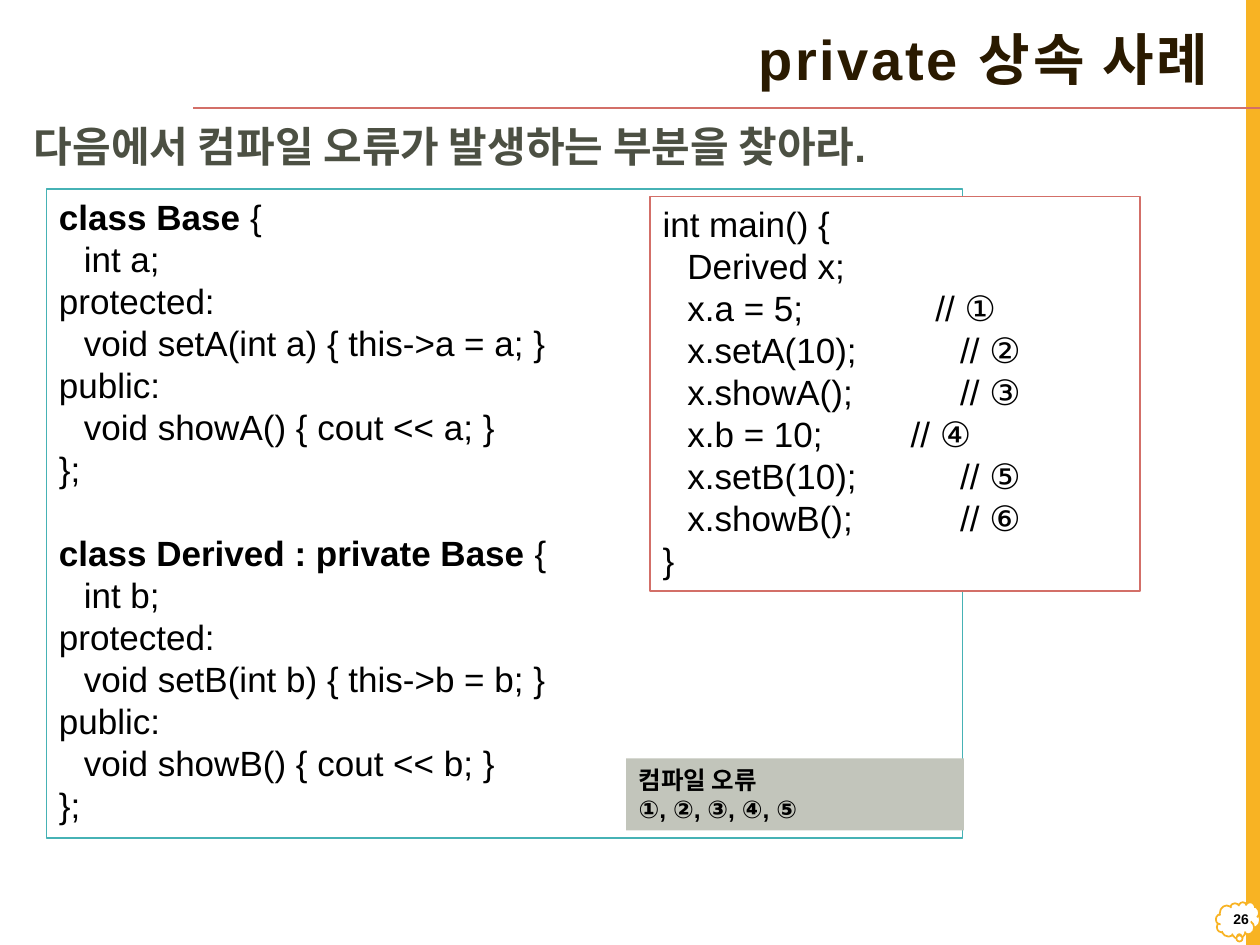
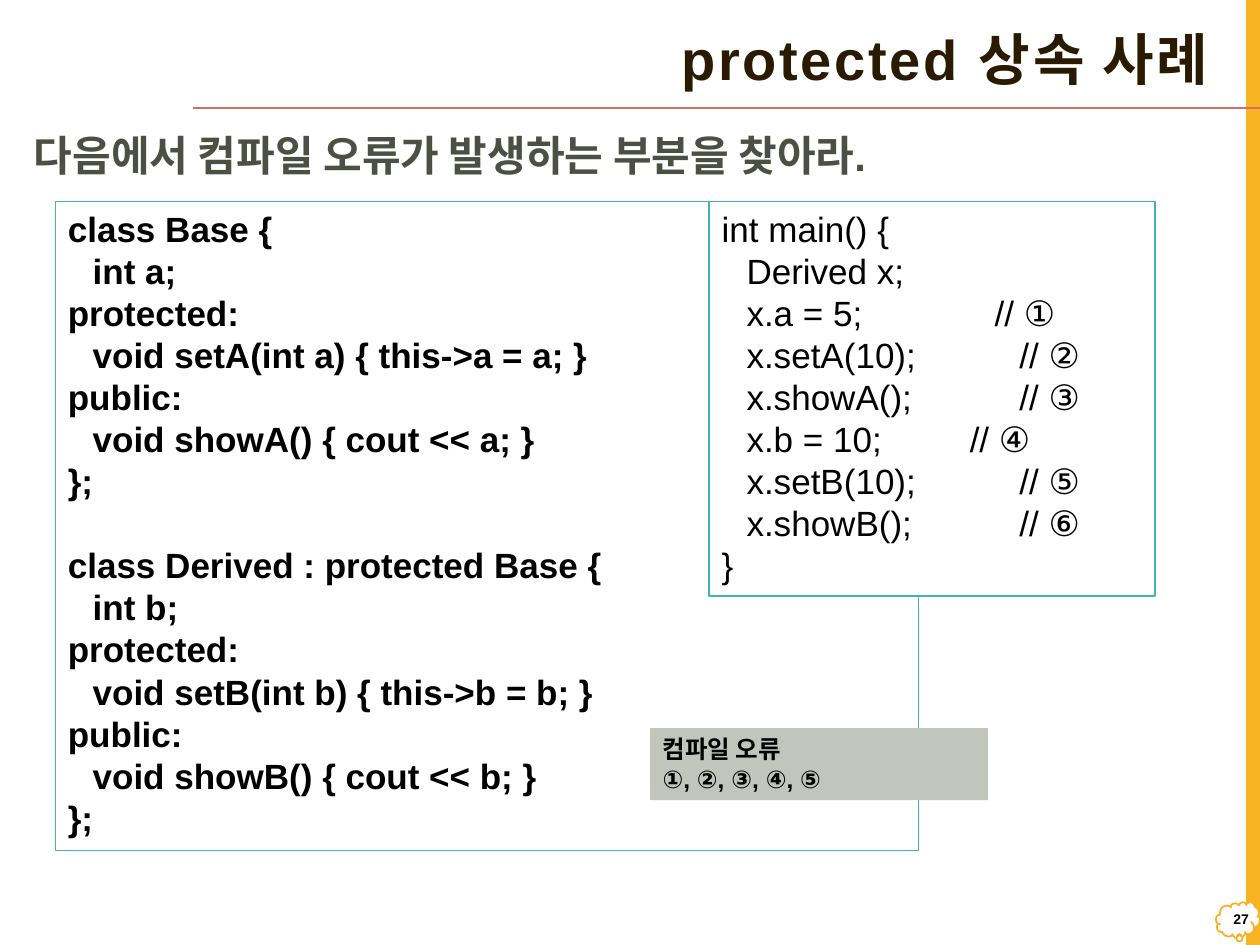
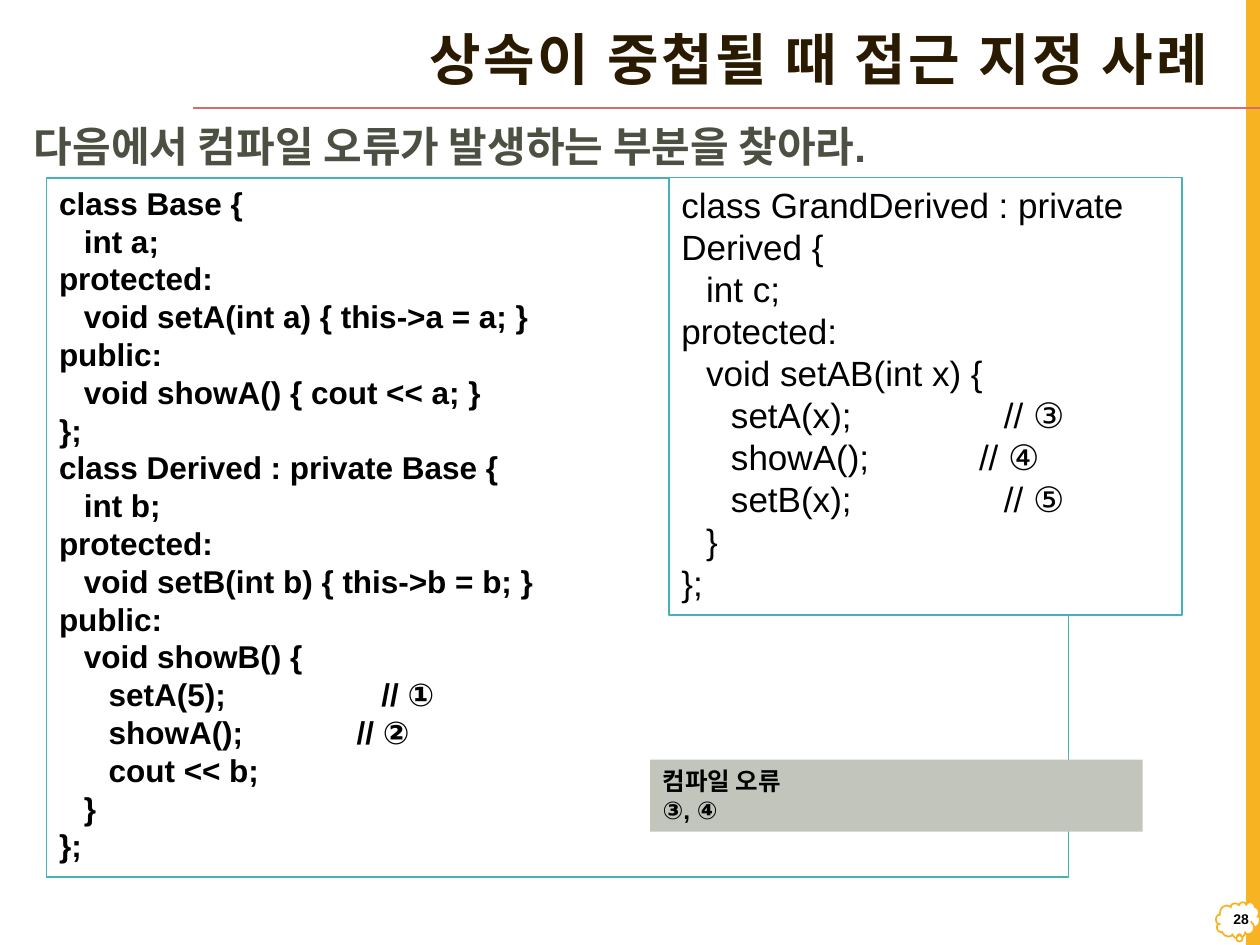
from lxml.etree import SubElement
from pptx import Presentation
from pptx.dml.color import RGBColor
from pptx.enum.shapes import MSO_CONNECTOR, MSO_SHAPE
from pptx.enum.text import MSO_ANCHOR, PP_ALIGN
from pptx.oxml.ns import qn
from pptx.util import Cm, Inches, Pt

COLORS = {
    "paper": "FFFFFF",
    "accent": "F8B323",
    "rule": "D36F68",
    "teal": "46B2B5",
    "title": "2A1A00",
    "question": "4C5043",
    "answer": "C2C5BB",
    "ink": "000000",
}
FONT = "Arial"
COLUMNS, ROWS = 100, 75
CELL = Inches(10) // COLUMNS
TAB_STEP, TAB_STOPS = Cm(0.5), 16
QUESTION = "다음에서 컴파일 오류가 발생하는 부분을 찾아라."

MAIN_CODE = """int main() {
\tDerived x;
\tx.a = 5; \t\t\t\t\t// ①
\tx.setA(10); \t\t\t\t// ②
\tx.showA(); \t\t\t\t// ③
\tx.b = 10; \t\t\t\t// ④
\tx.setB(10); \t\t\t\t// ⑤
\tx.showB(); \t\t\t\t// ⑥
}"""

GRAND_CODE = """class GrandDerived : private Derived {
\tint c;
protected:
\tvoid setAB(int x) {
\t\tsetA(x); \t\t\t\t\t\t// ③
\t\tshowA(); \t\t\t\t\t// ④
\t\tsetB(x); \t\t\t\t\t\t// ⑤
\t}
};"""

NESTED_SHOW = """{
\t\tsetA(5); \t\t\t\t\t\t// ①
\t\tshowA(); \t\t\t\t\t// ②
\t\tcout << b;
\t}"""


def class_code(heading, member, show_body=None):
    """Source of a class with one member, its setter and its show function."""
    suffix = member.upper()
    show_body = show_body or f"{{ cout << {member}; }}"
    return f"""{heading} {{
\tint {member};
protected:
\tvoid set{suffix}(int {member}) {{ this->{member} = {member}; }}
public:
\tvoid show{suffix}() {show_body}
}};"""


def color(key):
    return RGBColor.from_string(COLORS[key])


def grid(*cells):
    return [round(CELL * cell) for cell in cells]


def add_tab_stops(paragraph):
    tabs = SubElement(paragraph._p.get_or_add_pPr(), qn("a:tabLst"))
    for stop in range(1, TAB_STOPS + 1):
        SubElement(tabs, qn("a:tab"), pos=str(TAB_STEP * stop), algn="l")


def write(box, text, size, ink="ink", bold=False, align=PP_ALIGN.LEFT,
          anchor=MSO_ANCHOR.TOP, line_spacing=None, tracking=None, tabs=False):
    """Fill a box; ** switches bold, an empty line becomes space before the next."""
    frame = box.text_frame
    frame.word_wrap = True
    frame.vertical_anchor = anchor
    paragraph, gap = None, False
    for line in text.split("\n"):
        if not line:
            gap = True
            continue
        paragraph = frame.add_paragraph() if paragraph else frame.paragraphs[0]
        paragraph.alignment = align
        if line_spacing:
            paragraph.line_spacing = line_spacing
        if gap:
            paragraph.space_before = Pt(size * 1.2)
            gap = False
        if tabs:
            add_tab_stops(paragraph)
        for index, part in enumerate(line.split("**")):
            if not part:
                continue
            run = paragraph.add_run()
            run.text = part
            run.font.name = FONT
            run.font.size = Pt(size)
            run.font.bold = bold or index % 2 == 1
            run.font.color.rgb = color(ink)
            if tracking:
                run._r.get_or_add_rPr().set("spc", str(round(tracking * 100)))


def add_text(slide, place, text, **style):
    write(slide.shapes.add_textbox(*grid(*place)), text, **style)


def add_panel(slide, place, fill, line=None, preset=MSO_SHAPE.RECTANGLE):
    panel = slide.shapes.add_shape(preset, *grid(*place))
    panel.shadow.inherit = False
    panel.fill.solid()
    panel.fill.fore_color.rgb = color(fill)
    if line:
        panel.line.color.rgb = color(line)
        panel.line.width = Pt(1)
    else:
        panel.line.fill.background()
    return panel


def add_rule(slide, start, end):
    rule = slide.shapes.add_connector(MSO_CONNECTOR.STRAIGHT, *grid(*start, *end))
    rule.line.color.rgb = color("rule")
    rule.line.width = Pt(1)
    SubElement(rule._element.spPr, qn("a:effectLst"))


def add_code(slide, place, code, size=20, bold=False, line="teal"):
    write(add_panel(slide, place, "paper", line), code, size, bold=bold, tabs=True)


def add_answer(slide, place, numbers):
    write(add_panel(slide, place, "answer"), f"컴파일 오류\n{numbers}", 14, bold=True)


def add_exercise(deck, number, title, question_top=9.1):
    """New slide with side band, page cloud, title and question."""
    slide = deck.slides.add_slide(deck.slide_layouts[6])
    add_panel(slide, (98.9, 0, 1.1, ROWS), "accent")
    cloud = add_panel(slide, (96.5, 71.6, 3.5, 2.9), "paper", "accent",
                      MSO_SHAPE.CLOUD_CALLOUT)
    cloud.adjustments[0], cloud.adjustments[1] = 0.03, 0.43
    add_rule(slide, (COLUMNS, 8.6), (15.3, 8.6))
    add_text(slide, (13.2, 1.3, 83.7, 7.3), title, size=32, ink="title", bold=True,
             align=PP_ALIGN.RIGHT, anchor=MSO_ANCHOR.MIDDLE, line_spacing=0.9,
             tracking=1.5)
    add_text(slide, (96.6, 71.2, 3.5, 3.5), str(number), size=8, bold=True,
             align=PP_ALIGN.RIGHT, anchor=MSO_ANCHOR.MIDDLE)
    add_text(slide, (1.7, question_top, 76.2, 5), QUESTION, size=24,
             ink="question", bold=True)
    return slide


def main():
    deck = Presentation()
    deck.slide_width, deck.slide_height = grid(COLUMNS, ROWS)

    private = add_exercise(deck, 26, "private 상속 사례")
    add_code(private, (3.7, 15, 72.7, 51.5),
             class_code("**class Base **", "a").replace("** {", "**{") + "\n\n"
             + class_code("**class Derived : private Base **", "b").replace("** {", "**{"))
    add_code(private, (51.6, 15.6, 38.9, 31.3), MAIN_CODE, line="rule")
    add_answer(private, (49.7, 60.2, 26.8, 5.7), "①, ②, ③, ④, ⑤")

    protected = add_exercise(deck, 27, "protected 상속 사례", question_top=9.8)
    add_code(protected, (4.4, 16, 68.5, 51.5),
             class_code("class Base", "a") + "\n\n"
             + class_code("class Derived : protected Base", "b"), bold=True)
    add_code(protected, (56.3, 16, 35.4, 31.3), MAIN_CODE)
    add_answer(protected, (51.6, 57.8, 26.8, 5.7), "①, ②, ③, ④, ⑤")

    nested = add_exercise(deck, 28, "상속이 중첩될 때 접근 지정 사례")
    add_code(nested, (3.7, 14.1, 81.1, 55.5),
             class_code("class Base", "a") + "\n"
             + class_code("class Derived : private Base", "b", NESTED_SHOW),
             size=18, bold=True)
    add_code(nested, (53.1, 14.1, 40.7, 34.7), GRAND_CODE)
    add_answer(nested, (51.6, 60.3, 39.1, 5.7), "③, ④")

    deck.save("out.pptx")


if __name__ == "__main__":
    main()
